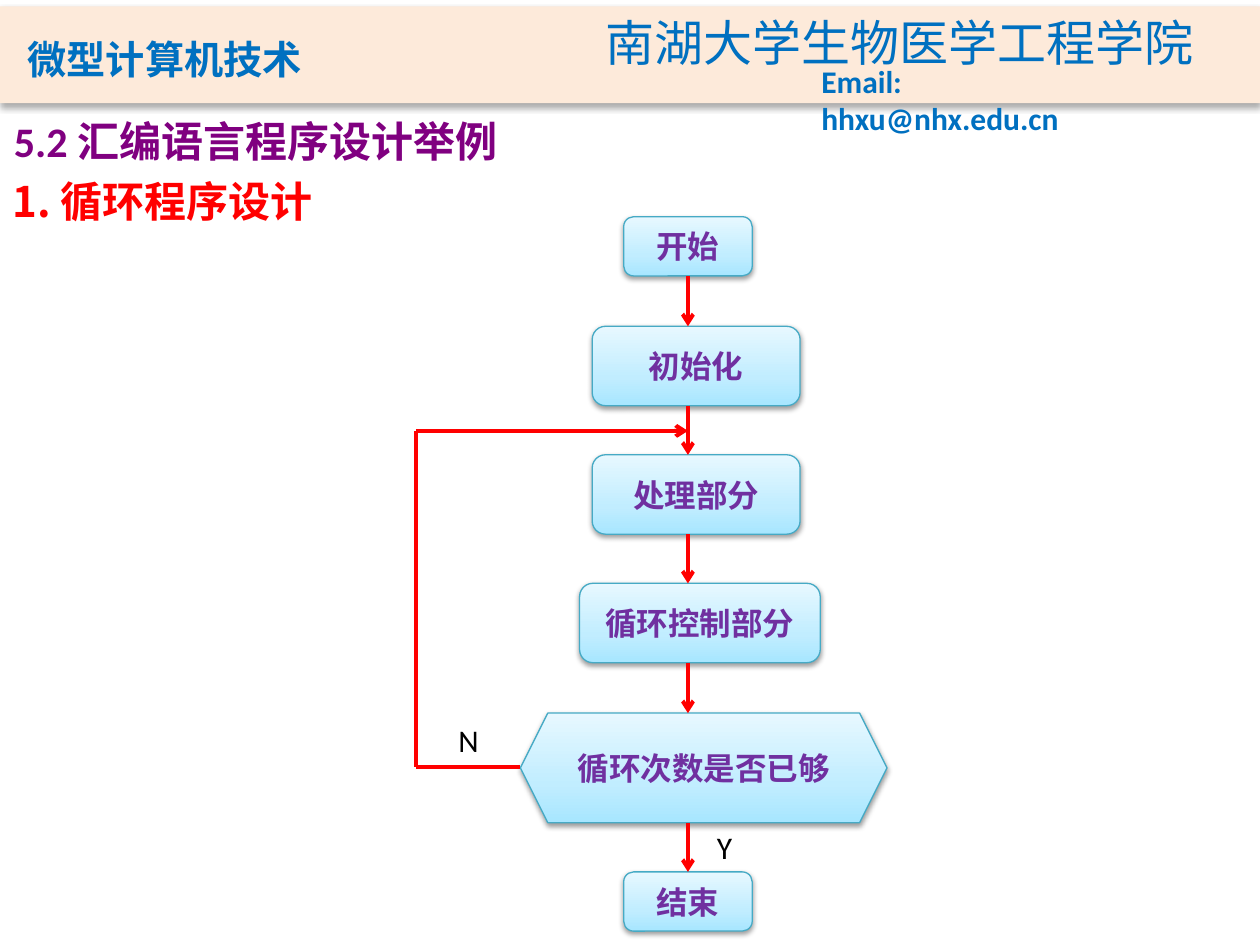
from dataclasses import dataclass

from lxml.etree import SubElement
from pptx import Presentation
from pptx.dml.color import RGBColor
from pptx.enum.shapes import MSO_CONNECTOR, MSO_SHAPE
from pptx.enum.text import MSO_ANCHOR, MSO_AUTO_SIZE, PP_ALIGN
from pptx.oxml.ns import qn
from pptx.util import Inches, Pt


@dataclass(frozen=True)
class Theme:
    """Colours, fonts and type sizes of the slide."""
    band: str = "FDEADA"
    header: str = "0070C0"
    title: str = "800080"
    accent: str = "FF0000"
    step_text: str = "7030A0"
    step_line: str = "46AAC5"
    step_stops: tuple = ((0, "A7E6FF"), (35, "C1EDFF"), (100, "E7F8FF"))
    black: str = "000000"
    latin: str = "Calibri"
    chinese: str = "Noto Sans CJK SC"
    course_font: str = "Noto Sans CJK JP"
    header_size: int = 28
    heading_size: int = 24
    body_size: int = 18


@dataclass(frozen=True)
class Label:
    """A piece of plain text with its place and style."""
    text: str
    left: float
    top: float
    width: float
    height: float
    size: int
    color: str
    font: str
    bold: bool = False
    anchor: MSO_ANCHOR = MSO_ANCHOR.TOP
    small_caps: bool = False
    wrap: bool = False


@dataclass(frozen=True)
class Step:
    """One box of the flowchart."""
    text: str
    left: float
    top: float
    width: float
    height: float
    kind: MSO_SHAPE = MSO_SHAPE.ROUNDED_RECTANGLE


@dataclass(frozen=True)
class Link:
    """A straight line of the flowchart."""
    start: tuple[float, float]
    end: tuple[float, float]
    arrow: bool = True


THEME = Theme()
FLOW_X, LOOP_X = 5.46, 3.3
LOOP_TOP, LOOP_BOTTOM = 3.42, 6.09

TITLE = Label("5.2 汇编语言程序设计举例 ", 0.01, 0.92, 4.17, 0.45,
              THEME.heading_size, THEME.title, THEME.latin, bold=True)
LABELS = [
    Label("微型计算机技术", 0.12, 0.16, 3.39, 0.56, THEME.header_size, THEME.header,
          THEME.course_font, bold=True, anchor=MSO_ANCHOR.BOTTOM, small_caps=True, wrap=True),
    Label("南湖大学生物医学工程学院", 4.71, 0.05, 4.91, 0.57, THEME.header_size,
          THEME.header, THEME.chinese),
    Label("Email: hhxu@nhx.edu.cn", 6.42, 0.44, 2.75, 0.4, THEME.body_size,
          THEME.header, THEME.latin, bold=True),
    Label("1. 循环程序设计", 0, 1.34, 8.19, 0.5, THEME.heading_size, THEME.accent,
          THEME.chinese, bold=True, wrap=True),
    Label("N", 3.54, 5.67, 0.36, 0.4, THEME.body_size, THEME.black, THEME.latin),
    Label("Y", 5.59, 6.52, 0.32, 0.4, THEME.body_size, THEME.black, THEME.latin),
]
STEPS = [
    Step("开始", 4.95, 1.72, 1.02, 0.47),
    Step("初始化", 4.7, 2.59, 1.65, 0.63),
    Step("处理部分", 4.7, 3.61, 1.65, 0.63),
    Step("循环控制部分", 4.6, 4.63, 1.91, 0.63),
    Step("循环次数是否已够", 4.13, 5.66, 2.91, 0.87, MSO_SHAPE.HEXAGON),
    Step("结束", 4.95, 6.92, 1.02, 0.47),
]
LINKS = [
    Link((FLOW_X, upper.top + upper.height), (FLOW_X, lower.top))
    for upper, lower in zip(STEPS, STEPS[1:])
] + [
    Link((LOOP_X, LOOP_TOP), (FLOW_X, LOOP_TOP)),
    Link((LOOP_X, LOOP_TOP), (LOOP_X, LOOP_BOTTOM), arrow=False),
    Link((LOOP_X, LOOP_BOTTOM), (STEPS[4].left, LOOP_BOTTOM), arrow=False),
]


def box(item) -> tuple:
    """Return the place of an item as lengths."""
    return tuple(Inches(n) for n in (item.left, item.top, item.width, item.height))


def add_run(paragraph, text: str, size: int, color: str, font: str, bold: bool):
    """Add a styled run, with a font for Chinese glyphs as well."""
    run = paragraph.add_run()
    run.text = text
    run.font.size = Pt(size)
    run.font.bold = bold
    run.font.name = font
    run.font.color.rgb = RGBColor.from_string(color)
    east_asian = THEME.chinese if font == THEME.latin else font
    properties = run.font._element
    SubElement(properties, qn("a:ea")).set("typeface", east_asian)
    return run


def write_label(shape, label: Label) -> None:
    """Fill a text shape with a label."""
    frame = shape.text_frame
    frame.word_wrap = label.wrap
    frame.auto_size = MSO_AUTO_SIZE.NONE if label.small_caps else MSO_AUTO_SIZE.SHAPE_TO_FIT_TEXT
    frame.vertical_anchor = label.anchor
    paragraph = frame.paragraphs[0]
    paragraph.alignment = PP_ALIGN.LEFT
    run = add_run(paragraph, label.text, label.size, label.color, label.font, label.bold)
    if label.small_caps:
        run.font._element.set("cap", "small")


def add_shadow(shape, opacity: int, blur: float, distance: float) -> None:
    """Give a shape a soft shadow that falls straight down."""
    shape.shadow.inherit = False
    effects = shape._element.spPr.find(qn("a:effectLst"))
    shadow = SubElement(effects, qn("a:outerShdw"), blurRad=str(Pt(blur)),
                        dist=str(Pt(distance)), dir="5400000", rotWithShape="0")
    color = SubElement(shadow, qn("a:srgbClr"), val=THEME.black)
    SubElement(color, qn("a:alpha"), val=str(opacity * 1000))


def add_band(slide) -> None:
    """Draw the header band."""
    band = slide.shapes.add_shape(MSO_SHAPE.RECTANGLE, 0, Inches(0.05), Inches(10), Inches(0.77))
    band.fill.solid()
    band.fill.fore_color.rgb = RGBColor.from_string(THEME.band)
    band.line.fill.background()
    add_shadow(band, 32, 3.5, 2.2)


def add_step(slide, step: Step) -> None:
    """Draw one flowchart box with its gradient and text."""
    shape = slide.shapes.add_shape(step.kind, *box(step))
    shape.fill.gradient()
    shape.fill.gradient_angle = 90
    stops = shape._element.spPr.find(qn("a:gradFill")).find(qn("a:gsLst"))
    for stop in list(stops):
        stops.remove(stop)
    for position, color in THEME.step_stops:
        stop = SubElement(stops, qn("a:gs"), pos=str(position * 1000))
        SubElement(stop, qn("a:srgbClr"), val=color)
    shape.line.color.rgb = RGBColor.from_string(THEME.step_line)
    shape.line.width = Pt(0.75)
    add_shadow(shape, 38, 3.1, 1.6)
    frame = shape.text_frame
    frame.word_wrap = True
    frame.vertical_anchor = MSO_ANCHOR.MIDDLE
    paragraph = frame.paragraphs[0]
    paragraph.alignment = PP_ALIGN.CENTER
    add_run(paragraph, step.text, THEME.body_size, THEME.step_text, THEME.latin, True)


def add_link(slide, link: Link) -> None:
    """Draw one line, with an arrowhead where it has one."""
    ends = [Inches(n) for n in (*link.start, *link.end)]
    connector = slide.shapes.add_connector(MSO_CONNECTOR.STRAIGHT, *ends)
    connector.line.color.rgb = RGBColor.from_string(THEME.accent)
    connector.line.width = Pt(2.25)
    if link.arrow:
        SubElement(connector.line._get_or_add_ln(), qn("a:tailEnd"), type="arrow")
    SubElement(connector._element.spPr, qn("a:effectLst"))


def main() -> None:
    """Build the slide and save it."""
    presentation = Presentation()
    presentation.slide_width, presentation.slide_height = Inches(10), Inches(7.5)
    slide = presentation.slides.add_slide(presentation.slide_layouts[5])
    add_band(slide)
    title = slide.shapes.title
    title.left, title.top, title.width, title.height = box(TITLE)
    write_label(title, TITLE)
    title.text_frame.margin_top = 0
    for label in LABELS:
        write_label(slide.shapes.add_textbox(*box(label)), label)
    for step in STEPS:
        add_step(slide, step)
    for link in LINKS:
        add_link(slide, link)
    presentation.save("out.pptx")


main()
